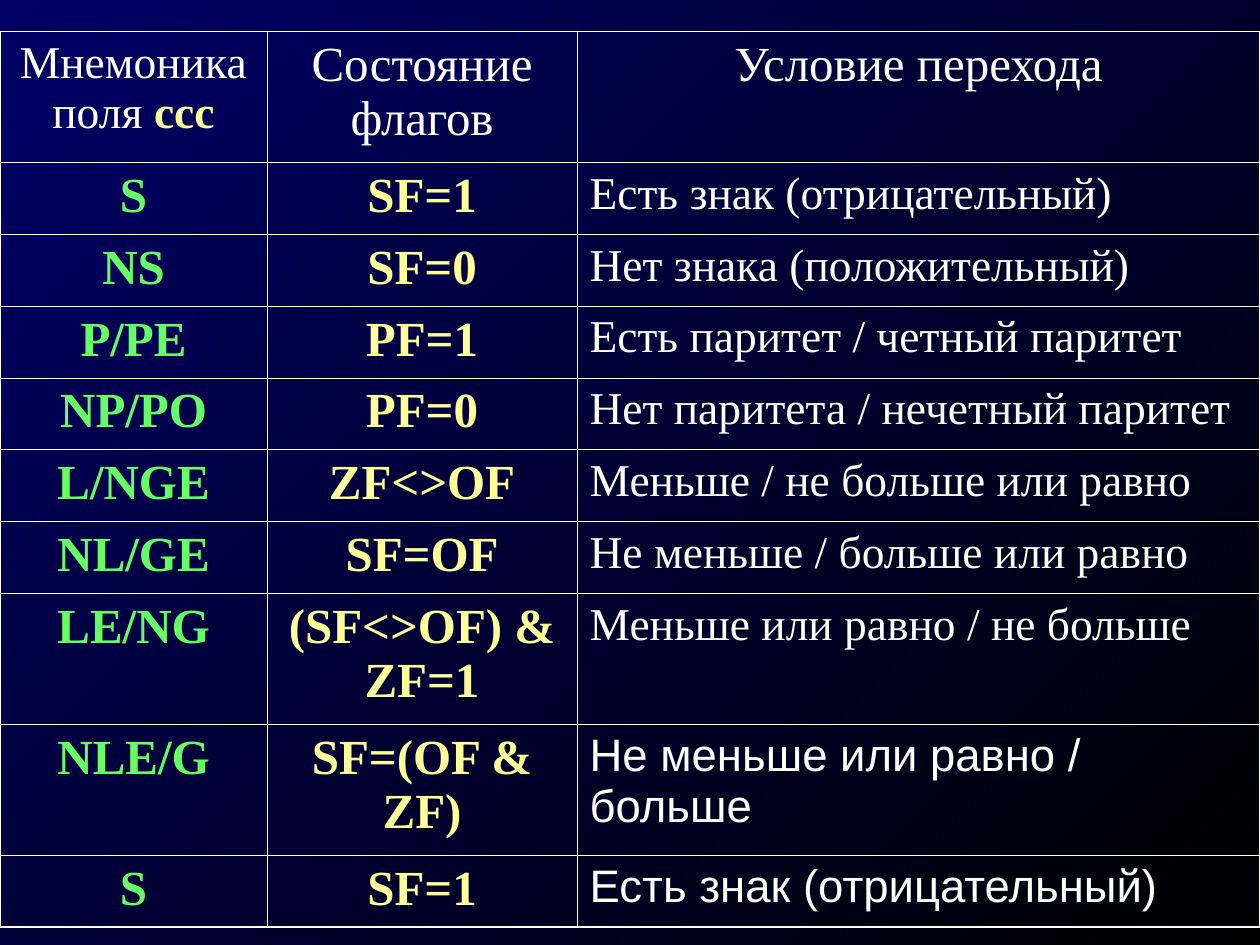
from lxml.etree import SubElement as Sub
from pptx import Presentation
from pptx.dml.color import RGBColor as Rgb
from pptx.enum.text import PP_ALIGN as Align
from pptx.oxml.ns import qn
from pptx.util import Inches, Pt

HUES = {"white": "FFFFFF", "lemon": "FFFF99", "green": "66FF66",
        "navy": "000066", "black": "000000"}
SERIF, SANS = "Times New Roman", "Arial"
THIN, THICK = Pt(0.45), Pt(1.08)
COLS = [2.12, 2.46, 5.42]
TALL, LOW = 1.04, 0.57
ROWS = [
    ("S", "SF=1", "Есть знак (отрицательный)", LOW, SERIF),
    ("NS", "SF=0", "Нет знака (положительный)", LOW, SERIF),
    ("P/PE", "PF=1", "Есть паритет / четный паритет", LOW, SERIF),
    ("NP/PO", "PF=0", "Нет паритета / нечетный паритет", LOW, SERIF),
    ("L/NGE", "ZF<>OF", "Меньше / не больше или равно", LOW, SERIF),
    ("NL/GE", "SF=OF", "Не меньше / больше или равно", LOW, SERIF),
    ("LE/NG", "(SF<>OF) & ZF=1", "Меньше или равно / не больше", TALL, SERIF),
    ("NLE/G", "SF=(OF & ZF)", "Не меньше или равно / больше", TALL, SANS),
    ("S", "SF=1", "Есть знак (отрицательный)", LOW, SANS),
]


def tint(name):
    """Return the named colour."""
    return Rgb.from_string(HUES[name])


def paint_back(slide):
    """Fill the background with a diagonal gradient."""
    fill = slide.background.fill
    fill.gradient()
    fill.gradient_angle = 315
    for stop, name in zip(fill.gradient_stops, ("navy", "black")):
        stop.color.rgb = tint(name)


def draw_edges(cell, wide):
    """Rule the four sides of a cell, thick on the sides in wide."""
    props = cell._tc.get_or_add_tcPr()
    for side in "LRTB":
        line = Sub(props, qn(f"a:ln{side}"),
                   w=str(THICK if side in wide else THIN))
        solid = Sub(line, qn("a:solidFill"))
        Sub(solid, qn("a:srgbClr"), val=HUES["white"])
    cell.fill.background()


def write_cell(cell, runs, size, align=Align.CENTER, font=SERIF):
    """Write runs of (text, colour, bold) into a cell."""
    para = cell.text_frame.paragraphs[0]
    para.alignment = align
    para.space_before = Pt(size / 4)
    for text, name, bold in runs:
        run = para.add_run()
        run.text = text
        run.font.name = font
        run.font.size = Pt(size)
        run.font.bold = bold
        run.font.color.rgb = tint(name)


def fill_head(grid):
    """Write the heading row."""
    write_cell(grid.cell(0, 0), [("Мнемоника поля ", "white", False),
                                 ("ссс", "lemon", True)], 26)
    write_cell(grid.cell(0, 1), [("Состояние флагов", "white", False)], 28)
    write_cell(grid.cell(0, 2), [("Условие перехода", "white", False)], 28)


def add_grid(slide, left, top, width):
    """Place the table of jump conditions."""
    highs = [TALL] + [row[3] for row in ROWS]
    last = len(highs) - 1
    grid = slide.shapes.add_table(
        len(highs), len(COLS), Inches(left), Inches(top),
        Inches(width), Inches(sum(highs))).table
    grid.first_row = grid.horz_banding = False
    for col, wide in zip(grid.columns, COLS):
        col.width = Inches(wide * width / sum(COLS))
    for i, high in enumerate(highs):
        grid.rows[i].height = Inches(high)
        for j, sides in enumerate(("L", "", "R")):
            ends = "T" * (i == 0) + "B" * (i == last)
            draw_edges(grid.cell(i, j), sides + ends)
    fill_head(grid)
    for i, (code, flags, rule, _, font) in enumerate(ROWS, 1):
        write_cell(grid.cell(i, 0), [(code, "green", True)], 28)
        write_cell(grid.cell(i, 1), [(flags, "lemon", True)], 28)
        write_cell(grid.cell(i, 2), [(rule, "white", False)], 26,
                   Align.LEFT, font)


def main():
    """Build the deck and save it."""
    deck = Presentation()
    deck.slide_width, deck.slide_height = Inches(10), Inches(7.5)
    slide = deck.slides.add_slide(deck.slide_layouts[6])
    paint_back(slide)
    add_grid(slide, 0, 0.25, 10)
    deck.save("out.pptx")


if __name__ == "__main__":
    main()
